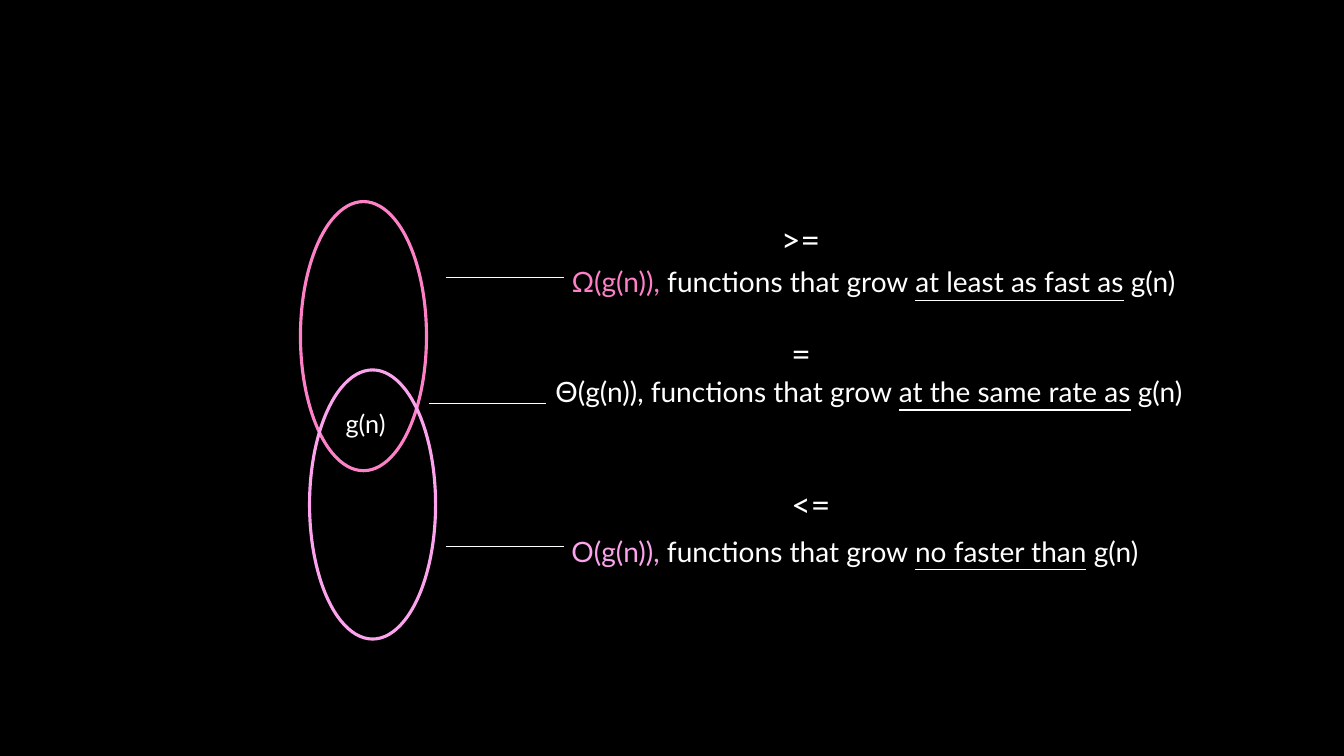
from pptx import Presentation
from pptx.dml.color import RGBColor
from pptx.enum.shapes import MSO_CONNECTOR, MSO_SHAPE
from pptx.enum.text import MSO_AUTO_SIZE
from pptx.oxml.ns import qn
from pptx.util import Inches, Pt
from lxml import etree

BLACK = RGBColor(0x00, 0x00, 0x00)
WHITE = RGBColor(0xFF, 0xFF, 0xFF)
PINK = RGBColor(0xFE, 0x80, 0xC7)
LILAC = RGBColor(0xFB, 0xA3, 0xEC)


def add_label(left, top, width, height, size, runs):
    """Add one line of text; each run is (text, colour, underlined)."""
    label = slide.shapes.add_textbox(
        Inches(left), Inches(top), Inches(width), Inches(height))
    frame = label.text_frame
    frame.word_wrap = False
    frame.auto_size = MSO_AUTO_SIZE.SHAPE_TO_FIT_TEXT
    for text, colour, underlined in runs:
        run = frame.paragraphs[0].add_run()
        run.text = text
        run.font.name = "Lato"
        run.font.size = Pt(size)
        run.font.color.rgb = colour
        run.font.underline = underlined


prs = Presentation()
prs.slide_width = Inches(13.33)
prs.slide_height = Inches(7.5)
slide = prs.slides.add_slide(prs.slide_layouts[6])
slide.background.fill.solid()
slide.background.fill.fore_color.rgb = BLACK

# Overlapping sets
for left, top, colour in [(2.98, 2, PINK), (3.07, 3.67, LILAC)]:
    growth_set = slide.shapes.add_shape(
        MSO_SHAPE.OVAL, Inches(left), Inches(top), Inches(1.25), Inches(2.67))
    growth_set.shadow.inherit = False
    growth_set.fill.background()
    growth_set.line.color.rgb = colour
    growth_set.line.width = Pt(2.25)

# Definitions, each with its leader line
definitions = [
    # left, top, width, line start, line height, symbol, colour, rate
    (5.57, 2.58, 6.71, 4.42, 2.75, "Ω(g(n)),", PINK, "at least as fast as"),
    (5.41, 3.67, 6.95, 4.25, 4, "Θ(g(n)),", WHITE, "at the same rate as"),
    (5.57, 5.25, 6.26, 4.42, 5.42, "O(g(n)),", LILAC, "no faster than"),
]
for left, top, width, line_x, line_y, symbol, colour, rate in definitions:
    add_label(left, top, width, 0.44, 20, [
        (symbol, colour, False),
        (" functions that grow ", WHITE, False),
        (rate, WHITE, True),
        (" g(n)", WHITE, False),
    ])
    leader = slide.shapes.add_connector(
        MSO_CONNECTOR.STRAIGHT, Inches(line_x), Inches(line_y),
        Inches(line_x + 1.17), Inches(line_y))
    leader.line.color.rgb = WHITE
    leader.line.width = Pt(0.75)
    etree.SubElement(leader._element.spPr, qn("a:effectLst"))

# Label in the intersection
add_label(3.33, 4, 0.67, 0.4, 18, [("g(n)", WHITE, False)])

# Comparison signs above the definitions
for left, top, width, sign in [
    (7.65, 2.12, 0.69, ">="),
    (7.75, 4.75, 0.69, "<="),
    (7.75, 3.25, 0.44, "="),
]:
    add_label(left, top, width, 0.5, 24, [(sign, WHITE, False)])

prs.save("out.pptx")
